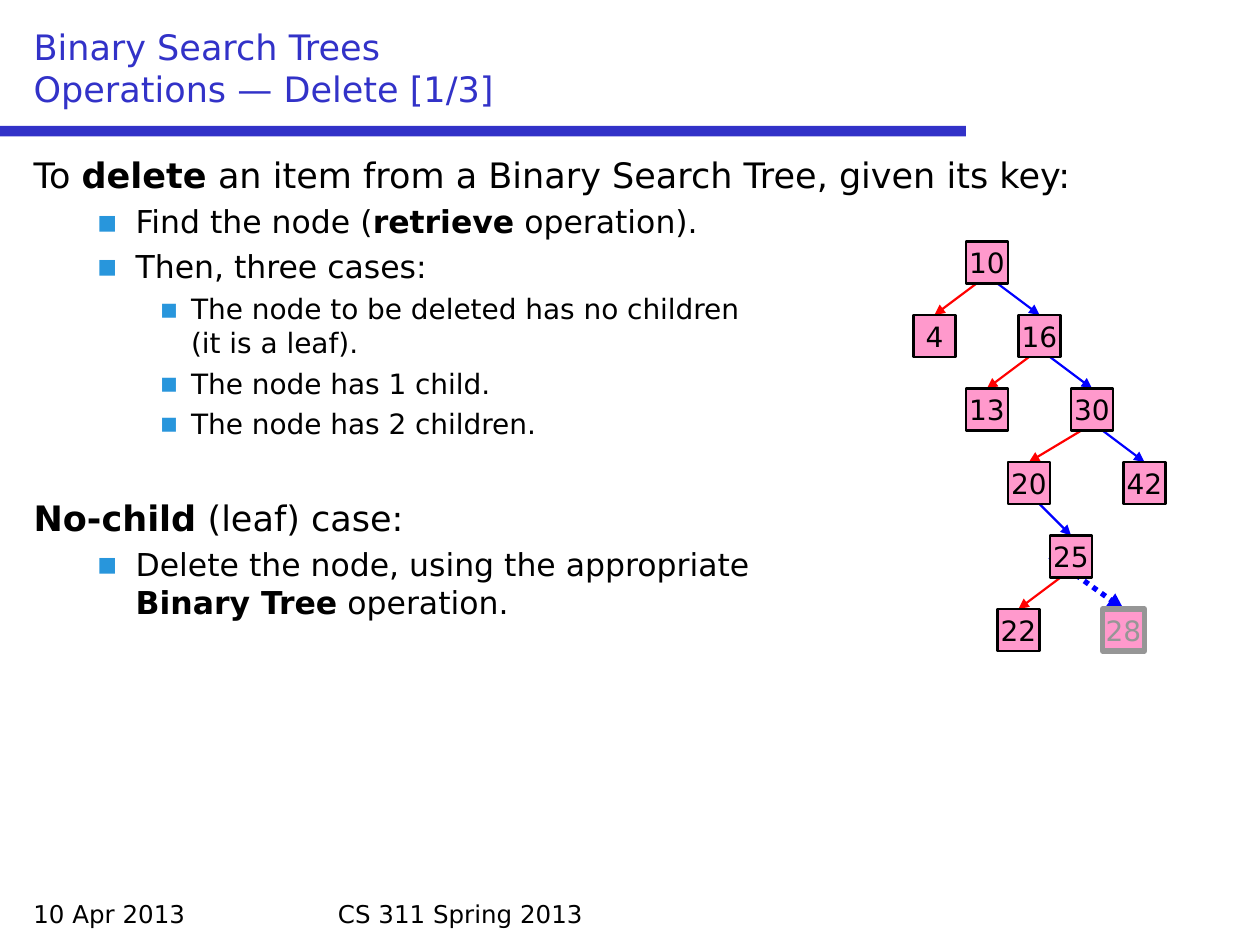
from lxml import etree
from pptx import Presentation
from pptx.dml.color import RGBColor
from pptx.enum.dml import MSO_LINE
from pptx.enum.shapes import MSO_CONNECTOR, MSO_SHAPE
from pptx.enum.text import MSO_ANCHOR, MSO_AUTO_SIZE, PP_ALIGN
from pptx.oxml.ns import qn
from pptx.util import Inches, Pt

FONT = "DejaVu Sans"
BLACK = RGBColor(0x00, 0x00, 0x00)
INDIGO = RGBColor(0x32, 0x32, 0xC8)
SKY = RGBColor(0x28, 0x96, 0xDC)
PINK = RGBColor(0xFF, 0x99, 0xCC)
RED = RGBColor(0xFF, 0x00, 0x00)
BLUE = RGBColor(0x00, 0x00, 0xFF)
GRAY = RGBColor(0x96, 0x96, 0x96)

RECTANGLE = MSO_SHAPE.RECTANGLE
STRAIGHT = MSO_CONNECTOR.STRAIGHT
DOTTED = MSO_LINE.ROUND_DOT
TOP, MIDDLE, BOTTOM = MSO_ANCHOR.TOP, MSO_ANCHOR.MIDDLE, MSO_ANCHOR.BOTTOM
LEFT, CENTER = PP_ALIGN.LEFT, PP_ALIGN.CENTER
NO_AUTOFIT = MSO_AUTO_SIZE.NONE

# The page and the tree share a grid of twelve steps to the inch
STEP = Inches(1) / 12
NODE_SIZE = 4
ROW_PITCH = 7

# Per outline level: left margin, hanging indent (inches), text size
LEVELS = [(0.38, -0.38, 20), (0.81, -0.31, 18), (1.25, -0.25, 16)]
SPACE_BEFORE = 4
SECTION_SPACE = 32

# Level, space before, text; ** toggles bold and \n breaks the line
OUTLINE = [
    (0, 0, "To **delete** an item from a Binary Search Tree, given its key:"),
    (1, SPACE_BEFORE, "Find the node (**retrieve** operation)."),
    (1, SPACE_BEFORE, "Then, three cases:"),
    (2, SPACE_BEFORE, "The node to be deleted has no children\n(it is a leaf)."),
    (2, SPACE_BEFORE, "The node has 1 child."),
    (2, SPACE_BEFORE, "The node has 2 children."),
    (0, SECTION_SPACE, "**No-child** (leaf) case:"),
    (1, SPACE_BEFORE,
     "Delete the node, using the appropriate\n**Binary Tree** operation."),
]

# Key: column and row of each node, relative to the tree's box
NODES = {"10": (5, 0), "4": (0, 1), "16": (10, 1), "13": (5, 2), "30": (15, 2),
         "20": (9, 3), "42": (20, 3), "25": (13, 4), "22": (8, 5), "28": (18, 5)}
LEFT_CHILDREN = [("10", "4"), ("16", "13"), ("30", "20"), ("25", "22")]
RIGHT_CHILDREN = [("10", "16"), ("16", "30"), ("30", "42"), ("20", "25"), ("25", "28")]
DELETED = "28"


def grid(*steps):
    return [round(step * STEP) for step in steps]


def add_text(para, text, size, color):
    """Add runs, switching bold at ** and breaking lines at newlines."""
    for part, words in enumerate(text.split("**")):
        for row, line in enumerate(words.split("\n")):
            if row:
                para.add_line_break()
            if line:
                span = para.add_run()
                span.text = line
                span.font.name = FONT
                span.font.size = Pt(size)
                span.font.bold = part % 2 == 1
                span.font.color.rgb = color


def set_bullet(para, level):
    left, indent, _ = LEVELS[level]
    props = para._p.get_or_add_pPr()
    props.set("marL", str(Inches(left)))
    props.set("indent", str(Inches(indent)))
    if level == 0:
        etree.SubElement(props, qn("a:buNone"))
        return
    color = etree.SubElement(props, qn("a:buClr"))
    etree.SubElement(color, qn("a:srgbClr"), val=str(SKY))
    etree.SubElement(props, qn("a:buFont"), typeface=FONT)
    etree.SubElement(props, qn("a:buChar"), char="▪")


def place(holder, box, anchor):
    holder.left, holder.top, holder.width, holder.height = grid(*box)
    frame = holder.text_frame
    frame.word_wrap = True
    frame.auto_size = NO_AUTOFIT
    frame.vertical_anchor = anchor
    return frame


def fill_header(page, box):
    frame = place(page.shapes.title, box, BOTTOM)
    para = frame.paragraphs[0]
    para.alignment = LEFT
    add_text(para, "Binary Search Trees\nOperations — Delete [1/3]", 20, INDIGO)
    # Rule below the title
    rule = page.shapes.add_shape(RECTANGLE, *grid(0, 12, 92, 1))
    rule.shadow.inherit = False
    rule.fill.solid()
    rule.fill.fore_color.rgb = INDIGO
    rule.line.fill.background()


def fill_outline(page, box):
    frame = place(page.placeholders[1], box, TOP)
    for index, (level, space, text) in enumerate(OUTLINE):
        para = frame.add_paragraph() if index else frame.paragraphs[0]
        para.level = level
        set_bullet(para, level)
        para.space_before = Pt(space)
        add_text(para, text, LEVELS[level][2], BLACK)


def add_arrow(page, start, end, color, deleted):
    arrow = page.shapes.add_connector(STRAIGHT, *grid(*start, *end))
    arrow.line.color.rgb = color
    arrow.line.width = Pt(3 if deleted else 1.25)
    if deleted:
        arrow.line.dash_style = DOTTED
    etree.SubElement(arrow.line._get_or_add_ln(), qn("a:tailEnd"), type="triangle")
    etree.SubElement(arrow._element.spPr, qn("a:effectLst"))


def add_node(page, key, left, top):
    deleted = key == DELETED
    node = page.shapes.add_shape(RECTANGLE, *grid(left, top, NODE_SIZE, NODE_SIZE))
    node.shadow.inherit = False
    node.fill.solid()
    node.fill.fore_color.rgb = PINK
    node.line.color.rgb = GRAY if deleted else BLACK
    node.line.width = Pt(3 if deleted else 1.25)
    frame = node.text_frame
    frame.word_wrap = False
    frame.vertical_anchor = MIDDLE
    para = frame.paragraphs[0]
    para.alignment = CENTER
    add_text(para, key, 16, GRAY if deleted else BLACK)


def draw_tree(page, left, top):
    corners = {key: (left + column, top + row * ROW_PITCH)
               for key, (column, row) in NODES.items()}
    half = NODE_SIZE / 2
    # Arrows lie behind the nodes; they leave one step beside the centre
    for edges, side, color in ((LEFT_CHILDREN, -1, RED), (RIGHT_CHILDREN, 1, BLUE)):
        for parent, child in edges:
            x, y = corners[parent]
            child_x, child_y = corners[child]
            deleted = child == DELETED
            start = (x, y + half) if deleted else (x + half + side, y + NODE_SIZE)
            add_arrow(page, start, (child_x + half, child_y), color, deleted)
    for key, corner in corners.items():
        add_node(page, key, *corner)


def add_footer(page, box, text):
    note = page.shapes.add_textbox(*grid(*box))
    note.text_frame.word_wrap = True
    add_text(note.text_frame.paragraphs[0], text, 14, BLACK)


def main():
    deck = Presentation()
    deck.slide_width, deck.slide_height = Inches(10), Inches(7.5)
    page = deck.slides.add_slide(deck.slide_layouts[1])
    fill_header(page, (2, 2, 116, 9))
    fill_outline(page, (2, 14, 116, 70))
    draw_tree(page, 87, 23)
    add_footer(page, (2, 85, 28, 4), "10 Apr 2013")
    add_footer(page, (31, 85, 58, 4), "CS 311 Spring 2013")
    deck.save("out.pptx")


if __name__ == "__main__":
    main()
